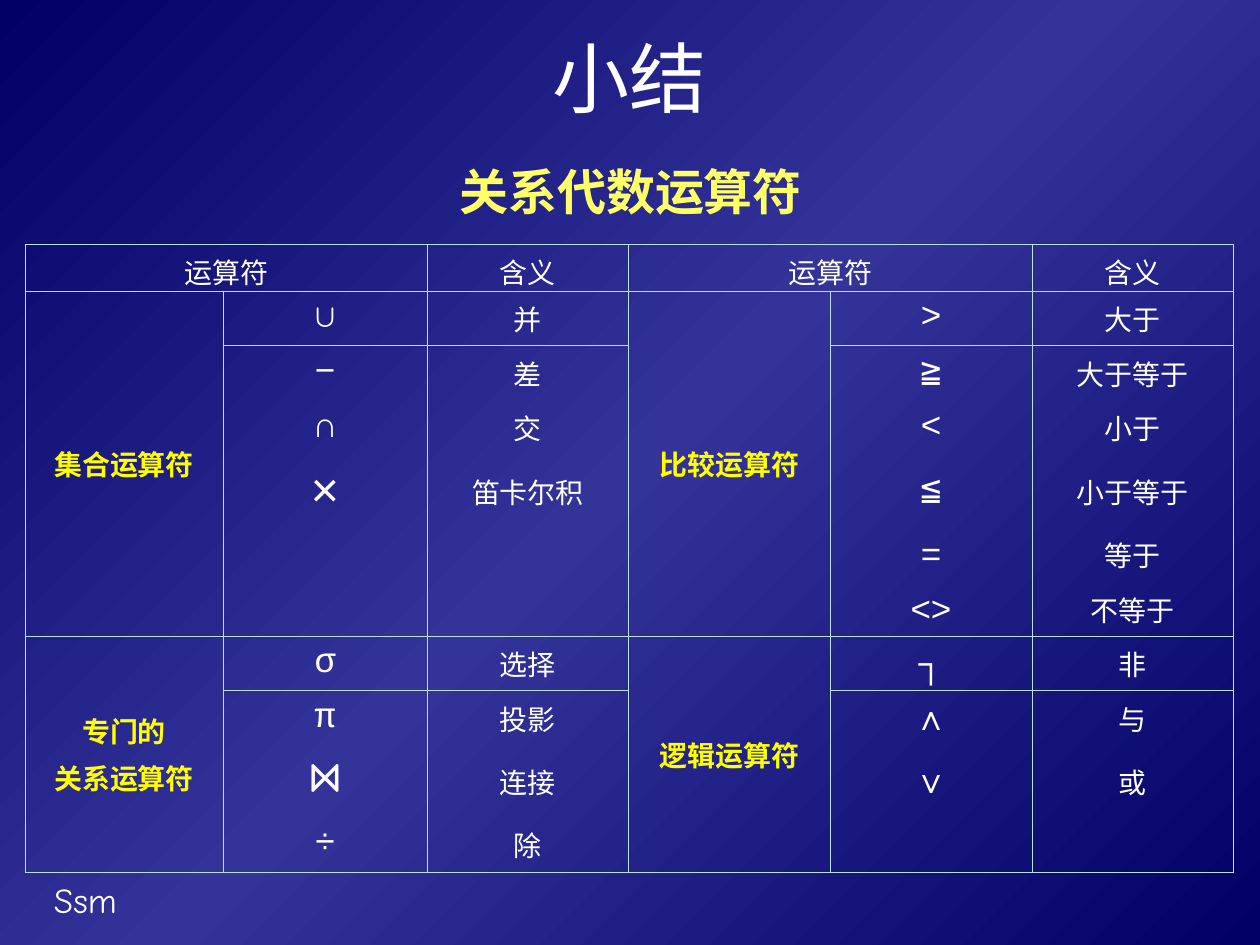
from dataclasses import dataclass
from lxml import etree
from pptx import Presentation
from pptx import util as u
from pptx.dml.color import RGBColor
from pptx.enum import text
from pptx.oxml import parse_xml
from pptx.oxml.ns import nsdecls, qn


@dataclass(frozen=True)
class Theme:
    white: str = "FFFFFF"
    category: str = "FFFF00"
    subtitle: str = "FFFF66"
    border: str = "BBE0E3"
    dark: str = "000066"
    light: str = "333399"
    cjk: str = "Noto Sans CJK SC"
    mono: str = "Courier New"
    sans: str = "Arial"
    footer_font: str = "Comic Neue"
    title_size: int = 44
    heading_size: int = 28
    symbol_size: int = 20
    word_size: int = 16
    border_width: float = 0.45
    gap: int = 4


THEME = Theme()
TITLE, SUBTITLE, FOOTER = "小结", "关系代数运算符", "Ssm"
HEADINGS = ("运算符", "含义")
SECTIONS = [
    (6, [
        (["集合运算符"], [("∪", "并"), ("−", "差"), ("∩", "交"), ("×", "笛卡尔积")]),
        (["比较运算符"], [(">", "大于"), ("≧", "大于等于"), ("<", "小于"),
                     ("≦", "小于等于"), ("=", "等于"), ("<>", "不等于")]),
    ]),
    (4, [
        (["专门的", "关系运算符"], [("σ", "选择"), ("π", "投影"), ("⋈", "连接"), ("÷", "除")]),
        (["逻辑运算符"], [("┐", "非"), ("∧", "与"), ("∨", "或")]),
    ]),
]
LARGE_SYMBOLS = {"×", "⋈"}
SANS_SYMBOLS = {"×", "=", "<>", "┐", "∧", "∨"}
COLUMNS = (1.57, 1.62, 1.6, 1.6, 1.6, 1.6)
HEADER_ROW, ROW, TALL_ROW = 0.37, 0.43, 0.57
TABLE_LEFT, TABLE_TOP = 0.2, 1.94
HALF = len(COLUMNS) // 2


def write(frame, lines, size, font, color, bold=False, align=text.PP_ALIGN.CENTER):
    for index, line in enumerate(lines):
        paragraph = frame.add_paragraph() if index else frame.paragraphs[0]
        paragraph.alignment = align
        if index:
            paragraph.space_before = u.Pt(THEME.gap)
        run = paragraph.add_run()
        run.text = line
        run.font.size, run.font.bold, run.font.name = u.Pt(size), bold, font
        run.font.color.rgb = RGBColor.from_string(color)
        east_asian = etree.Element(qn("a:ea"), typeface=THEME.cjk)
        run.font._element.find(qn("a:latin")).addnext(east_asian)


def label(slide, box, words, *style, anchor=text.MSO_ANCHOR.TOP, **options):
    frame = slide.shapes.add_textbox(*map(u.Inches, box)).text_frame
    frame.word_wrap = True
    frame.vertical_anchor = anchor
    write(frame, [words], *style, **options)


def paint_background(slide):
    fill = slide.background.fill
    fill.gradient()
    stops = "".join(
        f'<a:gs pos="{share * 1000}"><a:srgbClr val="{color}"/></a:gs>'
        for share, color in ((0, THEME.dark), (50, THEME.light), (100, THEME.dark)))
    gradient = slide.background._cSld.find(".//" + qn("a:gradFill"))
    gradient.getparent().replace(gradient, parse_xml(
        f'<a:gradFill {nsdecls("a")} rotWithShape="1"><a:gsLst>{stops}</a:gsLst>'
        '<a:lin ang="2700000" scaled="0"/></a:gradFill>'))


def outline(cell, edges):
    properties = cell._tc.get_or_add_tcPr()
    for edge in edges:
        properties.append(parse_xml(
            f'<a:ln{edge} {nsdecls("a")} w="{u.Pt(THEME.border_width)}">'
            f'<a:solidFill><a:srgbClr val="{THEME.border}"/></a:solidFill></a:ln{edge}>'))
    cell.fill.background()
    cell.vertical_anchor = text.MSO_ANCHOR.MIDDLE


def fill_section(table, top, count, halves):
    for half, (category, operators) in enumerate(halves):
        left = half * HALF
        head = table.cell(top, left)
        head.merge(table.cell(top + count - 1, left))
        write(head.text_frame, category, THEME.word_size, THEME.mono, THEME.category, True)
        for row, (symbol, meaning) in enumerate(operators, top):
            large = symbol in LARGE_SYMBOLS
            if large:
                table.rows[row].height = u.Inches(TALL_ROW)
            write(table.cell(row, left + 1).text_frame, [symbol],
                  THEME.heading_size if large else THEME.symbol_size,
                  THEME.sans if symbol in SANS_SYMBOLS else THEME.mono, THEME.white)
            write(table.cell(row, left + 2).text_frame, [meaning],
                  THEME.word_size, THEME.mono, THEME.white)


def build_table(slide):
    row_count = 1 + sum(count for count, _ in SECTIONS)
    table = slide.shapes.add_table(
        row_count, len(COLUMNS), u.Inches(TABLE_LEFT), u.Inches(TABLE_TOP),
        u.Inches(sum(COLUMNS)), u.Inches(HEADER_ROW + ROW * (row_count - 1))).table
    table.first_row = table.horz_banding = False
    style = table._tbl.tblPr.find(qn("a:tableStyleId"))
    style.text = "{2D5ABB26-0587-4C30-8999-92F81FD0307C}"
    for column, width in zip(table.columns, COLUMNS):
        column.width = u.Inches(width)
    for index, row in enumerate(table.rows):
        row.height = u.Inches(ROW if index else HEADER_ROW)

    for left in (0, HALF):
        table.cell(0, left).merge(table.cell(0, left + 1))
        for column, heading in zip((left, left + 2), HEADINGS):
            write(table.cell(0, column).text_frame, [heading],
                  THEME.word_size, THEME.mono, THEME.white)
    tops, top = {0}, 1
    for count, halves in SECTIONS:
        fill_section(table, top, count, halves)
        tops.add(top)
        top += count
    tops.add(top)

    for row in range(row_count):
        for column in range(len(COLUMNS)):
            cell = table.cell(row, column)
            category = row > 0 and column % HALF == 0
            edges = ["L", "R"]
            if row in tops or category and cell.is_merge_origin:
                edges.append("T")
            if row + 1 in tops or category and cell.is_merge_origin:
                edges.append("B")
            outline(cell, edges)


def main():
    deck = Presentation()
    deck.slide_width, deck.slide_height = u.Inches(10), u.Inches(7.5)
    slide = deck.slides.add_slide(deck.slide_layouts[6])
    paint_background(slide)
    label(slide, (0.33, 6.92, 2.08, 0.44), FOOTER, THEME.symbol_size,
          THEME.footer_font, THEME.white, align=text.PP_ALIGN.LEFT)
    label(slide, (0.5, 0.17, 9, 0.87), TITLE, THEME.title_size, THEME.cjk,
          THEME.white, anchor=text.MSO_ANCHOR.MIDDLE)
    build_table(slide)
    label(slide, (3.43, 1.23, 3.15, 0.57), SUBTITLE, THEME.heading_size,
          THEME.sans, THEME.subtitle, bold=True)
    deck.save("out.pptx")


if __name__ == "__main__":
    main()
